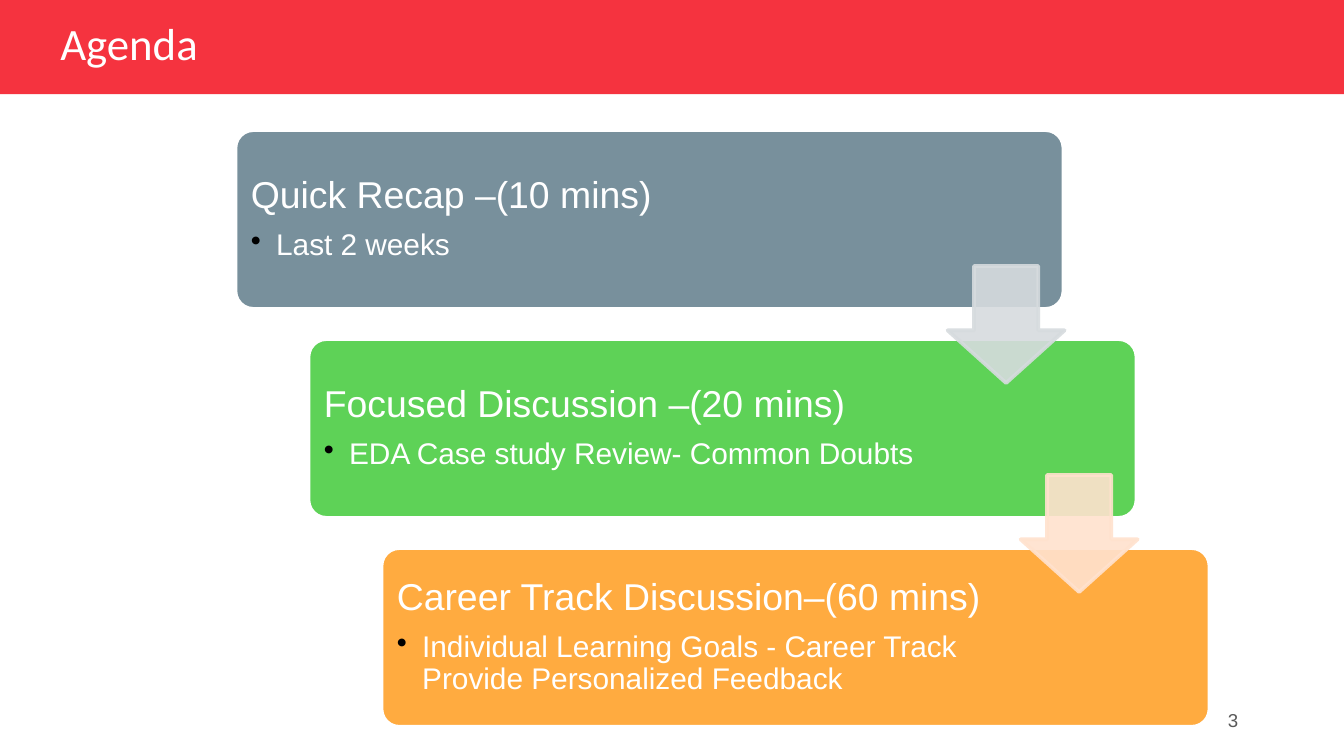
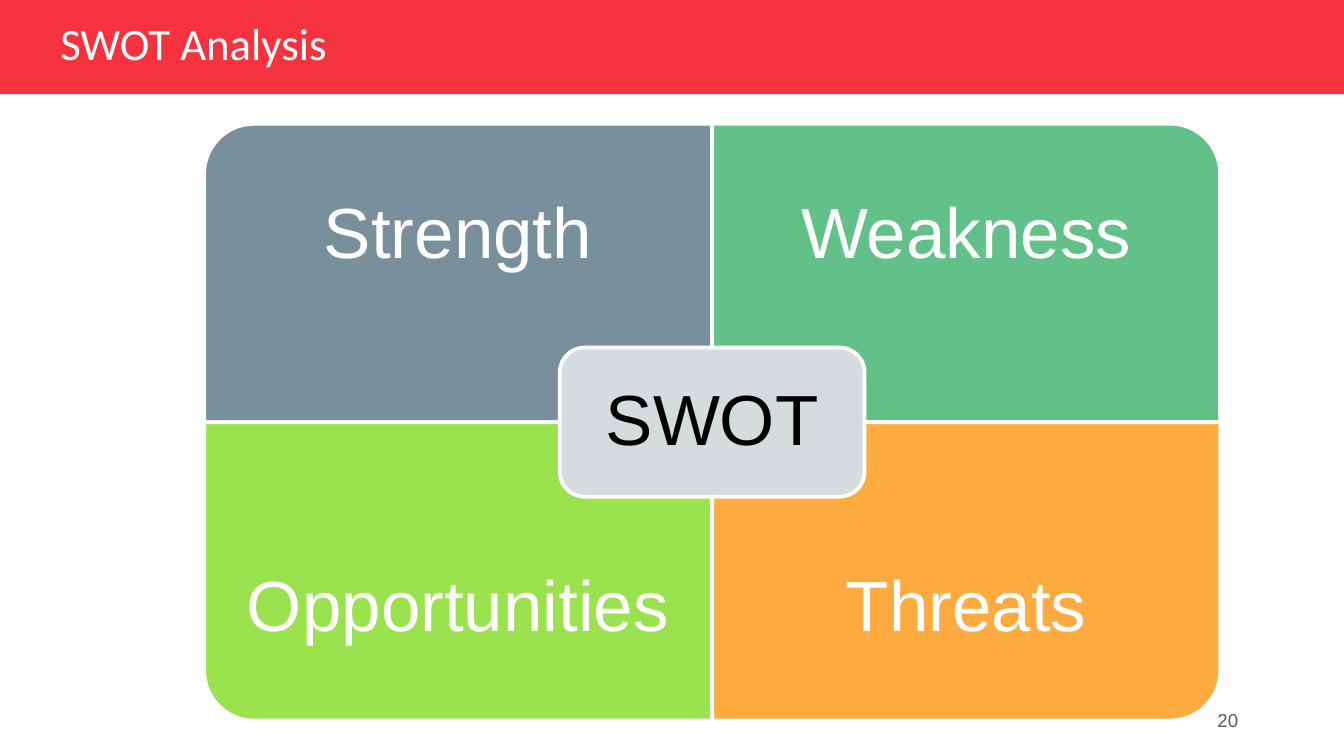
"""Builds the agenda and SWOT analysis slides."""
import pptx
import pptx.dml.color
import pptx.enum.shapes
import pptx.enum.text
import pptx.oxml.ns
import pptx.util
from lxml import etree

Cm, Pt = pptx.util.Cm, pptx.util.Pt
RGB = pptx.dml.color.RGBColor
SHAPE = pptx.enum.shapes.MSO_SHAPE
ALIGN = pptx.enum.text.PP_ALIGN
MIDDLE = pptx.enum.text.MSO_ANCHOR.MIDDLE
qn = pptx.oxml.ns.qn

WHITE = RGB(0xFF, 0xFF, 0xFF)
BLACK = RGB(0, 0, 0)
RED = RGB(0xF5, 0x33, 0x3F)
GREY = RGB(0x59, 0x59, 0x59)
SLATE = RGB(0x78, 0x90, 0x9C)
GREEN = RGB(0x5E, 0xD2, 0x57)
ORANGE = RGB(0xFF, 0xAB, 0x40)
TEAL = RGB(0x61, 0xC1, 0x88)
LIME = RGB(0x9B, 0xE2, 0x4F)
SILVER = RGB(0xD6, 0xDB, 0xDE)
PEACH = RGB(0xFF, 0xE2, 0xCE)

AGENDA = [
    ("Quick Recap –(10 mins)", "Last 2 weeks", SLATE),
    ("Focused Discussion –(20 mins)", "EDA Case study Review- Common Doubts", GREEN),
    ("Career Track Discussion–(60 mins)",
     "Individual Learning Goals - Career Track Provide Personalized Feedback", ORANGE),
]
AGENDA_ARROWS = [SILVER, PEACH]

SWOT = [
    ("Strength", SLATE, 270),
    ("Weakness", TEAL, 0),
    ("Opportunities", LIME, 180),
    ("Threats", ORANGE, 90),
]
SWOT_HUB = "SWOT"

SLIDE_W, SLIDE_H = 25.4, 14.29
BAND_H = 1.78


def add_block(slide, kind, left, top, width, height, fill, line=WHITE, adjustments=()):
    block = slide.shapes.add_shape(kind, Cm(left), Cm(top), Cm(width), Cm(height))
    block.shadow.inherit = False
    block.fill.solid()
    block.fill.fore_color.rgb = fill
    if line is None:
        block.line.fill.background()
    else:
        block.line.color.rgb = line
        block.line.width = Pt(2)
    for index, value in enumerate(adjustments):
        block.adjustments[index] = value
    return block


def add_frame(slide, left, top, width, height, inset_x, inset_y):
    frame = slide.shapes.add_textbox(Cm(left), Cm(top), Cm(width), Cm(height)).text_frame
    frame.word_wrap = True
    frame.vertical_anchor = MIDDLE
    frame.margin_left = frame.margin_right = Cm(inset_x)
    frame.margin_top = frame.margin_bottom = Cm(inset_y)
    return frame


def write(paragraph, text, size, color, font="Arial", align=ALIGN.LEFT, spacing=0.9, after=0):
    paragraph.text = text
    paragraph.alignment = align
    paragraph.line_spacing = spacing
    paragraph.space_after = Pt(after)
    paragraph.font.name = font
    paragraph.font.size = Pt(size)
    paragraph.font.color.rgb = color


def add_bullet(paragraph, indent):
    paragraph.level = 1
    properties = paragraph._p.get_or_add_pPr()
    properties.set("marL", str(Cm(indent)))
    properties.set("indent", str(-Cm(indent)))
    bullet_color = etree.SubElement(properties, qn("a:buClr"))
    etree.SubElement(bullet_color, qn("a:srgbClr"), val=str(BLACK))
    etree.SubElement(properties, qn("a:buChar"), char="•")


def make_translucent(block, percent):
    for color in block._element.spPr.iter(qn("a:srgbClr")):
        etree.SubElement(color, qn("a:alpha"), val=str(percent * 1000))


def add_slide(deck, title, number):
    slide = deck.slides.add_slide(deck.slide_layouts[6])
    add_block(slide, SHAPE.RECTANGLE, 0, 0, SLIDE_W, BAND_H, RED, line=None)
    heading = add_frame(slide, 0.89, 0.33, 10.39, 1.07, 0.25, 0.13)
    write(heading.paragraphs[0], title, 24, WHITE, font="Calibri")
    footer = add_frame(slide, 17.93, 13.23, 5.72, 0.76, 0.25, 0.13)
    write(footer.paragraphs[0], str(number), 10, GREY, align=ALIGN.RIGHT, spacing=1.0)
    return slide


def draw_agenda(slide):
    left, top, width, height = 4.45, 2.46, 15.65, 3.38
    shift, drop, pad = 1.38, 3.95, 0.09
    for index, (topic, detail, fill) in enumerate(AGENDA):
        x, y = left + index * shift, top + index * drop
        add_block(slide, SHAPE.ROUNDED_RECTANGLE, x, y, width, height, fill, adjustments=[0.1])
        frame = add_frame(slide, x + pad, y + pad, 11.9, height - 2 * pad, 0.2, 0.2)
        write(frame.paragraphs[0], topic, 20, WHITE, after=7)
        point = frame.add_paragraph()
        add_bullet(point, 0.48)
        write(point, detail, 16, WHITE, after=2.4)
    for index, color in enumerate(AGENDA_ARROWS):
        arrow = add_block(slide, SHAPE.DOWN_ARROW, left + index * shift + 13.46,
                          top + index * drop + 2.57, 2.21, 2.21, color, color, [0.55, 0.45])
        make_translucent(arrow, 90)


def draw_swot(slide):
    left, top, width, height = 3.86, 2.34, 9.6, 5.64
    label_h = height * 0.75
    for index, (label, fill, turn) in enumerate(SWOT):
        row, column = divmod(index, 2)
        x, y = left + column * width, top + row * height
        w, h = (height, width) if turn % 180 else (width, height)
        quadrant = add_block(slide, SHAPE.ROUND_1_RECTANGLE, x + (width - w) / 2,
                             y + (height - h) / 2, w, h, fill)
        quadrant.rotation = turn
        frame = add_frame(slide, x, y + row * (height - label_h), width, label_h, 0.76, 0.76)
        write(frame.paragraphs[0], label, 38, WHITE, align=ALIGN.CENTER, after=13.3)
    hub_w, hub_h, pad = width * 0.6, height / 2, 0.14
    x, y = left + width - hub_w / 2, top + height - hub_h / 2
    add_block(slide, SHAPE.ROUNDED_RECTANGLE, x, y, hub_w, hub_h, SILVER)
    frame = add_frame(slide, x + pad, y + pad, hub_w - 2 * pad, hub_h - 2 * pad, 0.4, 0.4)
    write(frame.paragraphs[0], SWOT_HUB, 38, BLACK, align=ALIGN.CENTER, after=13.3)


def main():
    deck = pptx.Presentation()
    deck.slide_width, deck.slide_height = Cm(SLIDE_W), Cm(SLIDE_H)
    draw_agenda(add_slide(deck, "Agenda", 3))
    draw_swot(add_slide(deck, "SWOT Analysis", 20))
    deck.save("out.pptx")


if __name__ == "__main__":
    main()
